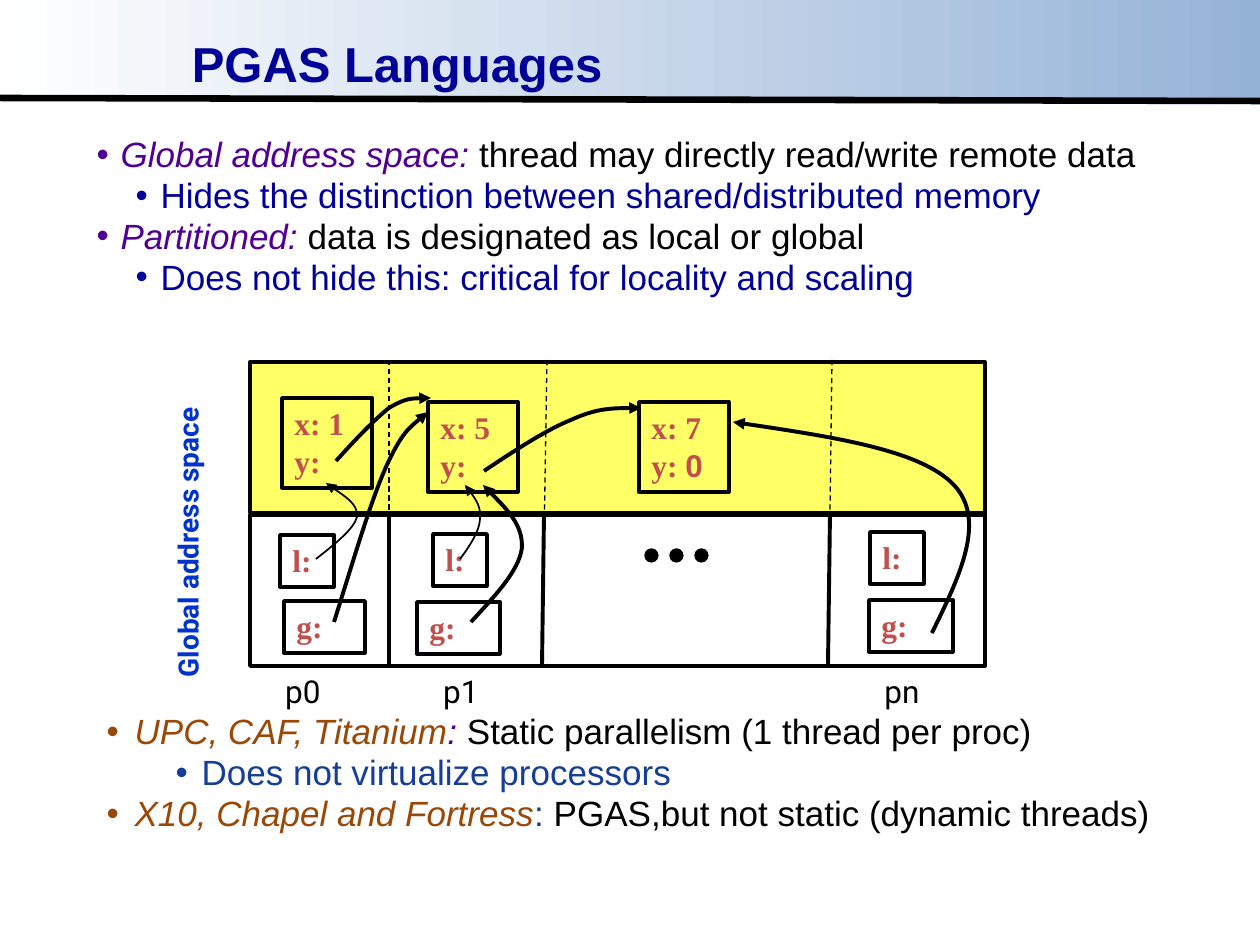
from lxml.etree import SubElement
from pptx import Presentation
from pptx.dml.color import RGBColor
from pptx.enum.dml import MSO_LINE as DASH
from pptx.enum.shapes import MSO_CONNECTOR as CONN, MSO_SHAPE as SHAPE
from pptx.enum.text import MSO_ANCHOR as ANCHOR, MSO_AUTO_SIZE as FIT, PP_ALIGN as ALIGN
from pptx.oxml.ns import qn
from pptx.util import Emu, Inches, Pt

PX = 914400 / 126
BLACK, NAVY, PURPLE, BROWN, BLUE = "000000", "000099", "500093", "984807", "163D97"


def px(n):
    return Emu(round(n * PX))


def rgb(value):
    return RGBColor.from_string(value)


def add_text(p, text, size=20, font="Arial", color=BLACK, bold=False, italic=False):
    r = p.add_run()
    r.text = text
    f = r.font
    f.size, f.name, f.bold, f.italic = Pt(size), font, bold, italic
    f.color.rgb = rgb(color)


class SlideBuilder:
    """Holds the current slide and the style of its elements."""
    variable = dict(size=18, font="Times New Roman", color="C0504D", bold=True)
    line_spacing = 0.85
    space_before = Pt(3)

    def __init__(self, slide):
        self.s = slide

    def frame(self, sp, wrap=True, insets=(0.1, 0.05)):
        tf = sp.text_frame
        tf.auto_size, tf.word_wrap = FIT.NONE, wrap
        tf.vertical_anchor = ANCHOR.TOP
        tf.margin_left = tf.margin_right = Inches(insets[0])
        tf.margin_top = tf.margin_bottom = Inches(insets[1])
        return tf

    def place(self, sp, x, y, w, h):
        sp.left, sp.top, sp.width, sp.height = map(px, (x, y, w, h))

    def title(self, text, *box):
        sp = self.s.shapes.title
        self.place(sp, *box)
        p = self.frame(sp, insets=(0.07, 0.03)).paragraphs[0]
        p.alignment, p.line_spacing = ALIGN.LEFT, 0.87
        add_text(p, text, size=28, color=NAVY, bold=True)

    def bullets(self, idx, box, indents, items):
        """Each item is a level and its runs; indents gives (left, hang) by level."""
        sp = self.s.placeholders[idx]
        self.place(sp, *box)
        tf = self.frame(sp)
        for i, (level, runs) in enumerate(items):
            p = tf.add_paragraph() if i else tf.paragraphs[0]
            p.level, p.line_spacing = level, self.line_spacing
            p.space_before = self.space_before if i else Pt(0)
            left, hang = indents[level]
            pPr = p._p.get_or_add_pPr()
            pPr.set("marL", str(px(left)))
            pPr.set("indent", str(-px(hang)))
            SubElement(pPr, qn("a:buFont")).set("typeface", "Arial")
            SubElement(pPr, qn("a:buChar")).set("char", "•")
            for text, color, italic in runs:
                add_text(p, text, color=color, italic=italic)

    def shape(self, x, y, w, h, kind=SHAPE.RECTANGLE, fill=None, weight=2.25):
        sp = self.s.shapes.add_shape(kind, *map(px, (x, y, w, h)))
        sp.shadow.inherit = False
        if fill:
            sp.fill.solid()
            sp.fill.fore_color.rgb = rgb(fill)
        else:
            sp.fill.background()
        if weight:
            sp.line.color.rgb, sp.line.width = rgb(BLACK), Pt(weight)
        else:
            sp.line.fill.background()
        return sp

    def band(self, x, y, w, h, start, end):
        """Gradient strip, sent behind the placeholders."""
        sp = self.shape(x, y, w, h, weight=None)
        sp.fill.gradient()
        sp.fill.gradient_angle = 180
        for stop, color, position in zip(sp.fill.gradient_stops, (start, end), (0, 1)):
            stop.color.rgb, stop.position = rgb(color), position
        self.s.shapes.title._element.addprevious(sp._element)

    def variables(self, x, y, w, h, *lines, wrap=True):
        tf = self.frame(self.shape(x, y, w, h, weight=2), wrap)
        for i, line in enumerate(lines):
            p = tf.add_paragraph() if i else tf.paragraphs[0]
            p.alignment = ALIGN.LEFT
            for text, extra in line:
                add_text(p, text, **{**self.variable, **extra})

    def label(self, text, x, y, w, h, align=ALIGN.LEFT, wrap=True, rotation=0, **fmt):
        sp = self.s.shapes.add_textbox(*map(px, (x, y, w, h)))
        sp.rotation = rotation
        p = self.frame(sp, wrap).paragraphs[0]
        p.alignment = align
        add_text(p, text, font="Roboto", **fmt)

    def line(self, x1, y1, x2, y2, weight=2.25, dash=None):
        c = self.s.shapes.add_connector(CONN.STRAIGHT, *map(px, (x1, y1, x2, y2)))
        c.line.color.rgb, c.line.width = rgb(BLACK), Pt(weight)
        if dash:
            c.line.dash_style = dash
        SubElement(c._element.spPr, qn("a:effectLst"))

    def curve(self, weight, start, *points):
        """Arrow along cubic curves: every three points are two controls and an end."""
        fb = self.s.shapes.build_freeform(*start, scale=PX)
        fb.add_line_segments(points, close=False)
        sp = fb.convert_to_shape()
        sp.shadow.inherit = False
        sp.fill.background()
        sp.line.color.rgb, sp.line.width = rgb(BLACK), Pt(weight)
        SubElement(sp.line._get_or_add_ln(), qn("a:tailEnd")).set("type", "triangle")
        outline = sp._element.xpath(".//a:path")[0]
        segments = outline.findall(qn("a:lnTo"))
        for i in range(0, len(segments), 3):
            bezier = SubElement(outline, qn("a:cubicBezTo"))
            for segment in segments[i:i + 3]:
                bezier.append(segment[0])
                outline.remove(segment)


def main():
    prs = Presentation()
    prs.slide_width, prs.slide_height = Inches(10), Inches(7.5)
    b = SlideBuilder(prs.slides.add_slide(prs.slide_layouts[3]))

    # Header and lists
    b.band(0, 0, 1260, 101, "95B3D7", "FFFFFF")
    b.line(0, 98, 1260, 101, weight=3.75)
    b.title("PGAS Languages", 183, 38, 931, 40)
    b.bullets(1, (84, 133, 1143, 188), ((24, 24), (64, 25)), [
        (0, [("Global address space:", PURPLE, True),
             (" thread may directly read/write remote data", BLACK, False)]),
        (1, [("Hides the distinction between shared/distributed memory", NAVY, False)]),
        (0, [("Partitioned:", PURPLE, True),
             (" data is designated as local or global", BLACK, False)]),
        (1, [("Does not hide this: critical for locality and scaling", NAVY, False)])])
    b.bullets(2, (94, 710, 1134, 151), ((28, 28), (95, 26)), [
        (0, [("UPC, CAF, Titanium", BROWN, True), (": ", PURPLE, True),
             ("Static parallelism (1 thread per proc)", BLACK, False)]),
        (1, [("Does not virtualize processors", BLUE, False)]),
        (0, [("X10, Chapel and Fortress", BROWN, True), (": ", BLUE, False),
             ("PGAS,but not static (dynamic threads)", BLACK, False)])])

    # Shared and private memory, split by processor
    b.shape(250, 362, 735, 151, fill="FFFF66")
    b.shape(250, 515, 735, 151)
    for top, middle, bottom in ((389, 389, 389), (547, 544, 542), (832, 830, 828)):
        b.line(top, 360, bottom, 667, weight=0.75, dash=DASH.DASH)
        b.line(middle, 516, bottom, 666)
    for i in range(3):
        b.shape(645 + 25 * i, 549, 13, 13, kind=SHAPE.OVAL, fill=BLACK, weight=0.75)

    # Variables
    for x, y, value, y_runs in ((282, 398, "1", [("y:", {})]),
                                (428, 402, "5", [("y:", {})]),
                                (639, 402, "7", [("y: ", {}), ("0", {"font": "Arial"})])):
        b.variables(x, y, 90, 90, [(f"x: {value}", {})], y_runs)
    for x, y in ((280, 535), (433, 534), (870, 532)):
        b.variables(x, y, 54, 52, [("l:", {})], wrap=False)
    for x, y, w in ((284, 601, 81), (417, 602, 83), (869, 600, 84)):
        b.variables(x, y, w, 52, [("g:", {})])

    # Pointers: local ones thin, global ones thick
    b.curve(1, (316, 559), (335, 544), (354, 529), (357, 517),
            (358, 504), (341, 494), (326, 483))
    b.curve(1, (460, 559), (470, 546), (480, 530), (480, 519),
            (481, 507), (474, 496), (465, 485))
    b.curve(2.25, (334, 622), (353, 562), (370, 503), (386, 467),
            (402, 432), (416, 422), (428, 412))
    b.curve(2.25, (471, 622), (495, 596), (519, 571), (522, 548),
            (523, 525), (503, 505), (483, 485))
    b.curve(2.25, (932, 633), (960, 576), (987, 520), (954, 485),
            (921, 450), (827, 436), (733, 422))
    b.curve(2.25, (336, 461), (355, 440), (374, 420), (389, 408),
            (406, 398), (418, 398), (431, 398))
    b.curve(2.25, (484, 471), (514, 451), (546, 430), (571, 420),
            (597, 408), (620, 408), (641, 408))

    # Labels
    b.label("Global address space", 7, 485, 362, 47, rotation=270,
            size=16, color="0033CC", bold=True)
    for text, x in (("p0", 273), ("p1", 431), ("pn", 872)):
        b.label(text, x, 666, 60, 50, align=ALIGN.CENTER, wrap=False, size=18)
    prs.save("out.pptx")


if __name__ == "__main__":
    main()
